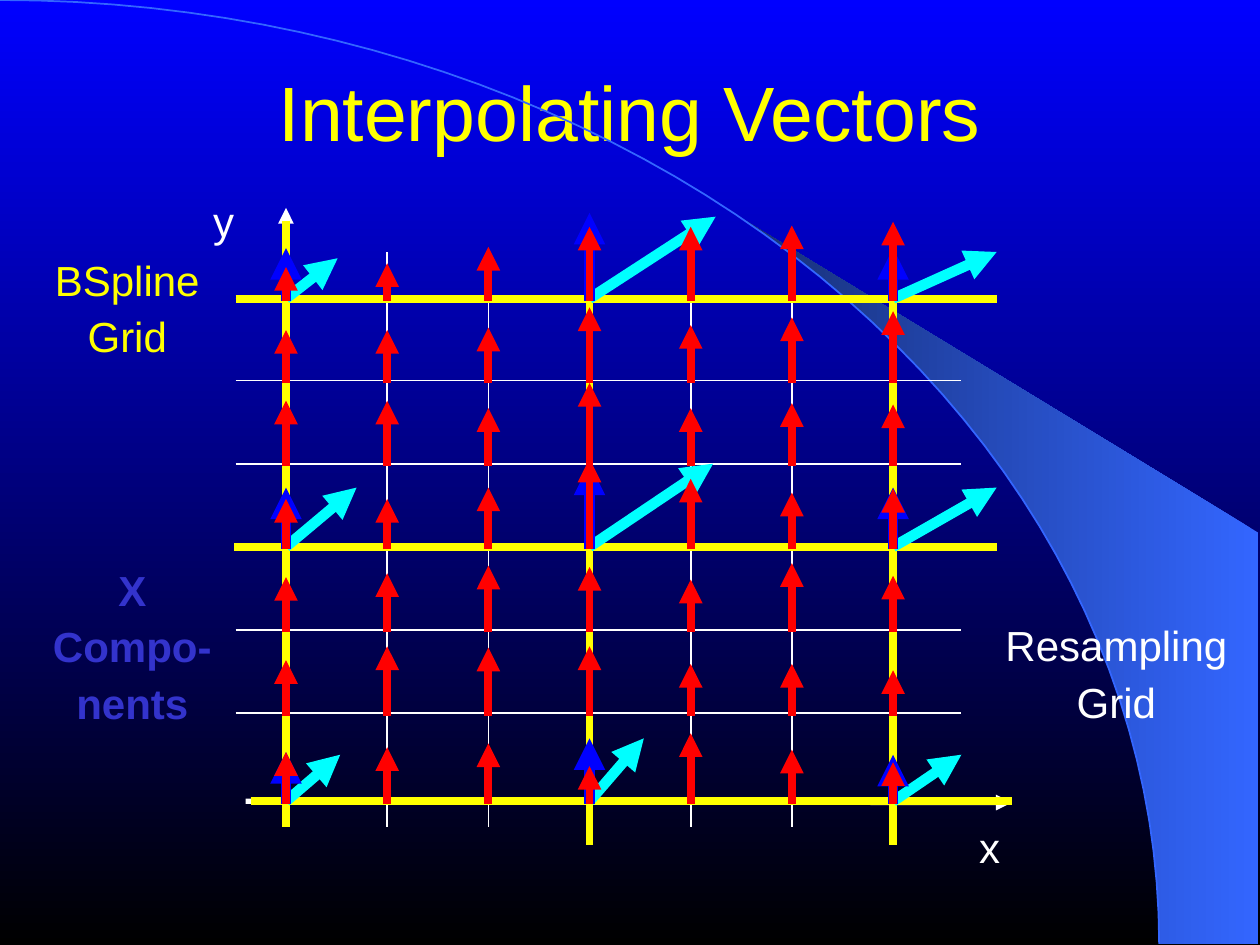
import math
from lxml import etree
from pptx import Presentation
from pptx import util as u
from pptx.dml.color import RGBColor
from pptx.enum import shapes, text
from pptx.oxml import ns

WHITE = RGBColor(0xFF, 0xFF, 0xFF)
BLACK = RGBColor(0x00, 0x00, 0x00)
YELLOW = RGBColor(0xFF, 0xFF, 0x00)
CYAN = RGBColor(0x00, 0xFF, 0xFF)
RED = RGBColor(0xFF, 0x00, 0x00)
BLUE = RGBColor(0x00, 0x00, 0xFF)
INDIGO = RGBColor(0x33, 0x33, 0xCC)
SKY = RGBColor(0x33, 0x66, 0xFF)
NAVY = RGBColor(0x17, 0x2F, 0x75)

FONT = "Arial"
ARC_WIDTH, ARC_HEIGHT = 9.2, 7.49

COLUMNS = [2.27 + 0.803 * i for i in range(7)]
ROWS = [2.37, 3.02, 3.68, 4.34, 5.0, 5.66, 6.36]
RED_TIPS = [
    [2.12, 2.09, 1.96, 1.80, 1.80, 1.79, 1.76],
    [2.62, 2.62, 2.60, 2.44, 2.58, 2.52, 2.47],
    [3.18, 3.18, 3.24, 3.04, 3.24, 3.20, 3.21],
    [3.96, 3.96, 3.87, 3.64, 3.80, 3.91, 3.88],
    [4.58, 4.55, 4.49, 4.50, 4.60, 4.47, 4.57],
    [5.24, 5.13, 5.14, 5.13, 5.27, 5.27, 5.32],
    [5.97, 5.93, 5.90, 6.08, 5.82, 5.95, 6.05],
]
CONTROL_COLUMNS = COLUMNS[::3]
CONTROL_ROWS = ROWS[::3]
VECTOR_TIPS = [
    [(2.68, 2.05), (5.68, 1.72), (7.91, 2.0)],
    [(2.83, 3.87), (5.66, 3.68), (7.91, 3.87)],
    [(2.70, 5.99), (5.11, 5.86), (7.63, 5.99)],
]
BLUE_TIPS = [[1.97, 1.69, 1.97], [3.87, 3.68, 3.87], [5.97, 5.86, 5.99]]


def format_text(para, words, size=24, color=WHITE, bold=False, spacing=None, before=0):
    para.alignment = text.PP_ALIGN.CENTER
    para.space_before = u.Pt(before)
    if spacing:
        para.line_spacing = spacing
    span = para.add_run()
    span.text = words
    span.font.name = FONT
    span.font.size = u.Pt(size)
    span.font.bold = bold
    span.font.color.rgb = color


def arc_points(end_x, steps):
    end = math.acos(end_x / ARC_WIDTH)
    angles = [end * i / steps for i in range(steps + 1)]
    return [(ARC_WIDTH * math.cos(a), ARC_HEIGHT * (1 - math.sin(a))) for a in angles]


class SlideBuilder:
    def __init__(self, page):
        self.page = page

    def gradient(self, fill, colors, angle):
        fill.gradient()
        fill.gradient_angle = angle
        for stop, color in zip(fill.gradient_stops, colors):
            stop.color.rgb = color

    def background(self, top, bottom):
        self.gradient(self.page.background.fill, (top, bottom), 270)

    def outline(self, points, closed):
        corners = [(u.Inches(x), u.Inches(y)) for x, y in points]
        builder = self.page.shapes.build_freeform(*corners[0])
        builder.add_line_segments(corners[1:], close=closed)
        shape = builder.convert_to_shape()
        shape.shadow.inherit = False
        return shape

    def wedge(self, points):
        shape = self.outline(points, True)
        self.gradient(shape.fill, (SKY, NAVY), 180)
        shape.line.fill.background()

    def curve(self, points):
        shape = self.outline(points, False)
        shape.fill.background()
        shape.line.color.rgb = SKY
        shape.line.width = u.Pt(1)

    def title(self, words):
        box = self.page.shapes.title
        box.left, box.top = u.Inches(0.75), u.Inches(0.12)
        box.width, box.height = u.Inches(8.5), u.Inches(1.51)
        frame = box.text_frame
        frame.margin_left = frame.margin_right = 0
        frame.margin_top = frame.margin_bottom = 0
        frame.vertical_anchor = text.MSO_ANCHOR.MIDDLE
        format_text(frame.paragraphs[0], words, size=44, color=YELLOW)

    def label(self, lines, left, top, width, height, spacing=0.6, **style):
        box = self.page.shapes.add_textbox(
            u.Inches(left), u.Inches(top), u.Inches(width), u.Inches(height))
        frame = box.text_frame
        frame.word_wrap = True
        for i, words in enumerate(lines):
            para = frame.add_paragraph() if i else frame.paragraphs[0]
            format_text(para, words, spacing=spacing, before=15 if i else 0, **style)

    def line(self, start, end, color, width, arrow=False):
        link = self.page.shapes.add_connector(
            shapes.MSO_CONNECTOR.STRAIGHT, *[u.Inches(v) for v in (*start, *end)])
        link.line.color.rgb = color
        link.line.width = u.Pt(width)
        if arrow:
            etree.SubElement(link.line._get_or_add_ln(), ns.qn("a:tailEnd"), type="triangle")
        etree.SubElement(link._element.spPr, ns.qn("a:effectLst"))


def main():
    deck = Presentation()
    deck.slide_width, deck.slide_height = u.Inches(10), u.Inches(7.5)
    slide = SlideBuilder(deck.slides.add_slide(deck.slide_layouts[5]))

    slide.background(BLUE, BLACK)
    slide.wedge(arc_points(5.89, 24) + [(9.99, 4.23), (9.99, 7.49)])
    slide.curve(arc_points(0, 48))
    slide.title("Interpolating Vectors")

    slide.label(["y"], 1.59, 1.58, 0.37, 0.42, spacing=0.8)
    slide.line((2.26, 6.55), (2.27, 1.65), WHITE, 3, arrow=True)
    slide.line((1.95, 6.36), (8.03, 6.37), WHITE, 3, arrow=True)
    for y in ROWS[:-1]:
        slide.line((1.87, y), (7.63, y), WHITE, 1)
    for x in COLUMNS[1:]:
        slide.line((x, 2), (x, 6.56), WHITE, 1)
    slide.label(["x"], 7.67, 6.55, 0.37, 0.42, spacing=0.8)

    for x, top in zip(CONTROL_COLUMNS, (1.75, 1.9, 1.9)):
        slide.line((x, top), (x, top + 4.81), YELLOW, 4.5)
    for y, left, right in zip(CONTROL_ROWS, (1.87, 1.86, 1.99), (7.91, 7.91, 8.03)):
        slide.line((left, y), (right, y), YELLOW, 4.5)

    for y, tips in zip(CONTROL_ROWS, VECTOR_TIPS):
        for x, tip in zip(CONTROL_COLUMNS, tips):
            slide.line((x, y), tip, CYAN, 6, arrow=True)

    slide.label(["BSpline", "Grid"], 0.24, 2.11, 1.54, 0.79, color=YELLOW)
    slide.label(["Resampling", "Grid"], 7.87, 5.01, 1.98, 0.79)
    slide.label(["X", "Compo-", "nents"], 0.06, 4.57, 1.98, 1.24, color=INDIGO, bold=True)

    for columns, rows, grid, color, width in (
            (CONTROL_COLUMNS, CONTROL_ROWS, BLUE_TIPS, BLUE, 6),
            (COLUMNS, ROWS, RED_TIPS, RED, 4.5)):
        for y, tips in zip(rows, grid):
            for x, tip in zip(columns, tips):
                slide.line((x, y + 0.02), (x, tip), color, width, arrow=True)

    deck.save("out.pptx")


if __name__ == "__main__":
    main()
